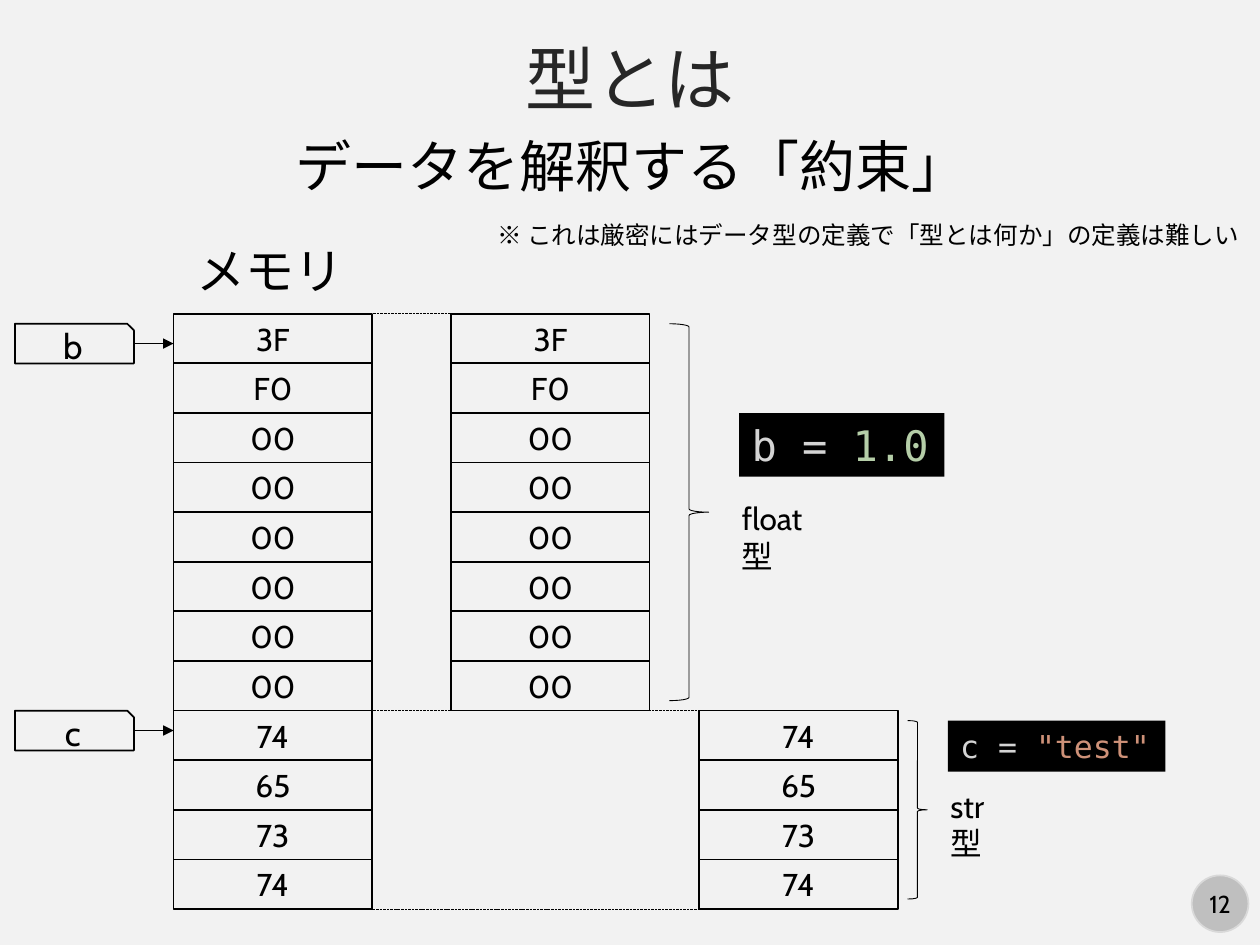
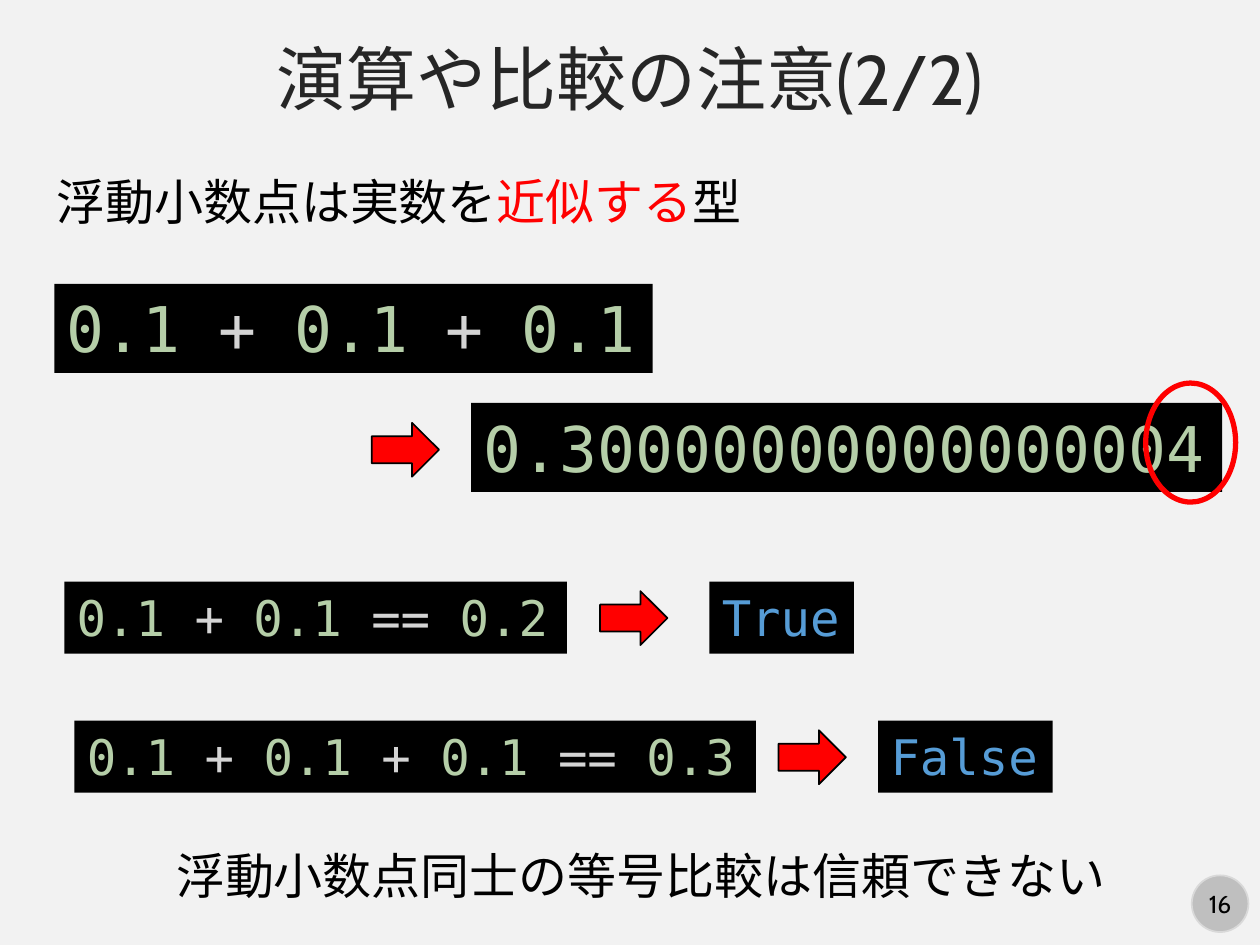
"""Build two slides about Python types and floating-point comparison."""
from dataclasses import dataclass

import pptx
import pptx.dml.color
import pptx.enum.dml
import pptx.enum.shapes
import pptx.enum.text
import pptx.oxml.ns
import pptx.oxml.xmlchemy
import pptx.util
from lxml import etree

Pt = pptx.util.Pt
SHAPE = pptx.enum.shapes.MSO_SHAPE
ALIGN = pptx.enum.text.PP_ALIGN
ANCHOR = pptx.enum.text.MSO_ANCHOR
AUTO_SIZE = pptx.enum.text.MSO_AUTO_SIZE

COLORS = {
    "background": "F2F2F2",
    "title": "262626",
    "ink": "000000",
    "badge": "BFBFBF",
    "badge_line": "D9D9D9",
    "alert": "FF0000",
    "code": "D4D4D4",
    "number": "B5CEA8",
    "string": "CE9178",
    "keyword": "569CD6",
}
TEXT_FONT = "Cabin"
CODE_FONT = "DejaVu Sans Mono"

CELL_WIDTH, CELL_HEIGHT = 113.4, 28.35
MEMORY_LEFT, MEMORY_TOP = 99.2, 179.3
FLOAT_BYTES = ["3F", "F0"] + ["00"] * 6
STR_BYTES = ["74", "65", "73", "74"]
STR_TOP = MEMORY_TOP + len(FLOAT_BYTES) * CELL_HEIGHT
MEMORY_BOTTOM = STR_TOP + len(STR_BYTES) * CELL_HEIGHT


@dataclass
class Box:
    """A rectangle in points."""
    left: float
    top: float
    width: float
    height: float

    def lengths(self) -> tuple:
        """Return the four lengths for python-pptx."""
        return Pt(self.left), Pt(self.top), Pt(self.width), Pt(self.height)


@dataclass
class Caption:
    """A free text made of (text, color) runs."""
    box: Box
    runs: list
    size: float
    wrap: bool = False


@dataclass
class Code:
    """A line of code on a black box."""
    box: Box
    source: str
    size: float


@dataclass
class ByteColumn:
    """A stack of memory cells."""
    left: float
    top: float
    values: list


@dataclass
class VariableTag:
    """A variable name that points at a memory cell."""
    name: str
    top: float


@dataclass
class DashedLine:
    """A horizontal guide between columns."""
    start: float
    end: float
    top: float


def rgb(name: str):
    """Look up a color by name."""
    return pptx.dml.color.RGBColor.from_string(COLORS[name])


def write_text(shape, runs, *, size, font=TEXT_FONT, color="ink", align=ALIGN.LEFT,
               anchor=ANCHOR.TOP, wrap=True, fit=False, inset=None) -> None:
    """Fill a shape with one paragraph, from a string or (text, color) runs."""
    frame = shape.text_frame
    frame.word_wrap = wrap
    frame.auto_size = AUTO_SIZE.SHAPE_TO_FIT_TEXT if fit else AUTO_SIZE.NONE
    frame.vertical_anchor = anchor
    if inset is not None:
        frame.margin_left = frame.margin_right = Pt(inset)
        frame.margin_top = frame.margin_bottom = Pt(inset)
    paragraph = frame.paragraphs[0]
    paragraph.alignment = align
    for text, run_color in [(runs, color)] if isinstance(runs, str) else runs:
        run = paragraph.add_run()
        run.text = text
        run.font.name = font
        run.font.size = Pt(size)
        run.font.color.rgb = rgb(run_color)


def add_shape(slide, kind, box: Box, *, fill=None, line="ink", weight=1.0):
    """Add a preset shape with plain fill and line."""
    shape = slide.shapes.add_shape(kind, *box.lengths())
    shape.shadow.inherit = False
    if fill:
        shape.fill.solid()
        shape.fill.fore_color.rgb = rgb(fill)
    else:
        shape.fill.background()
    shape.line.color.rgb = rgb(line)
    shape.line.width = Pt(weight)
    return shape


def add_line(slide, start: float, end: float, top: float, *, weight: float,
             dashed=False, arrow=False) -> None:
    """Add a horizontal connector."""
    connector = slide.shapes.add_connector(
        pptx.enum.shapes.MSO_CONNECTOR.STRAIGHT, Pt(start), Pt(top), Pt(end), Pt(top))
    connector.line.color.rgb = rgb("ink")
    connector.line.width = Pt(weight)
    if dashed:
        connector.line.dash_style = pptx.enum.dml.MSO_LINE.SQUARE_DOT
    qualified = pptx.oxml.ns.qn
    properties = connector._element.spPr
    if arrow:
        etree.SubElement(properties.find(qualified("a:ln")), qualified("a:tailEnd"), type="triangle")
    etree.SubElement(properties, qualified("a:effectLst"))


def add_caption(slide, caption: Caption) -> None:
    """Add a free text."""
    shape = slide.shapes.add_textbox(*caption.box.lengths())
    write_text(shape, caption.runs, size=caption.size, wrap=caption.wrap, fit=not caption.wrap)


def token_color(token: str) -> str:
    """Choose the highlight color of a code token."""
    if token[0].isdigit():
        return "number"
    if token[0] == '"':
        return "string"
    return "keyword" if token in ("True", "False") else "code"


def add_code(slide, code: Code) -> None:
    """Add a highlighted line of code on black."""
    shape = slide.shapes.add_textbox(*code.box.lengths())
    shape.fill.solid()
    shape.fill.fore_color.rgb = rgb("ink")
    tokens = code.source.split(" ")
    runs = [(token + " ", token_color(token)) for token in tokens[:-1]]
    runs.append((tokens[-1], token_color(tokens[-1])))
    write_text(shape, runs, size=code.size, font=CODE_FONT, wrap=False, fit=True)


def add_byte_column(slide, column: ByteColumn) -> None:
    """Add the cells of a memory column."""
    for row, value in enumerate(column.values):
        box = Box(column.left, column.top + row * CELL_HEIGHT, CELL_WIDTH, CELL_HEIGHT)
        write_text(add_shape(slide, SHAPE.RECTANGLE, box), value, size=18,
                   align=ALIGN.CENTER, anchor=ANCHOR.MIDDLE)


def add_variable_tag(slide, tag: VariableTag) -> None:
    """Add a variable tag and its arrow to memory."""
    box = Box(8.5, tag.top, 68, 22.7)
    write_text(add_shape(slide, SHAPE.SNIP_1_RECTANGLE, box), tag.name, size=20,
               align=ALIGN.CENTER, anchor=ANCHOR.MIDDLE)
    add_line(slide, box.left + box.width, MEMORY_LEFT, box.top + box.height / 2,
             weight=1, arrow=True)


def add_titled_slide(presentation, title: str, number: int):
    """Add a slide with its title and number badge."""
    slide = presentation.slides.add_slide(presentation.slide_layouts[5])
    shape = slide.shapes.title
    shape.left, shape.top, shape.width, shape.height = Box(0, 15, 720, 59).lengths()
    write_text(shape, title, size=40, color="title", align=ALIGN.CENTER, anchor=ANCHOR.MIDDLE)
    badge = add_shape(slide, SHAPE.OVAL, Box(681, 500.2, 32.4, 32.4),
                      fill="badge", line="badge_line")
    write_text(badge, str(number), size=14, align=ALIGN.CENTER, anchor=ANCHOR.MIDDLE,
               wrap=False, inset=0)
    return slide


def build_types_slide(presentation) -> None:
    """Show how memory bytes are read as float and str."""
    slide = add_titled_slide(presentation, "型とは", 12)
    float_left, str_left = 257.8, 399.6
    for column in (
        ByteColumn(MEMORY_LEFT, MEMORY_TOP, FLOAT_BYTES + STR_BYTES),
        ByteColumn(float_left, MEMORY_TOP, FLOAT_BYTES),
        ByteColumn(str_left, STR_TOP, STR_BYTES),
    ):
        add_byte_column(slide, column)
    for guide in (
        DashedLine(178.6, 308.9, MEMORY_TOP),
        DashedLine(178.6, 422.6, STR_TOP),
        DashedLine(184.3, 427.7, MEMORY_BOTTOM),
    ):
        add_line(slide, guide.start, guide.end, guide.top, weight=0.5, dashed=True)
    for brace in (Box(382.5, 185, 22.5, 215.4), Box(518.6, 411.8, 11.3, 102)):
        add_shape(slide, SHAPE.RIGHT_BRACE, brace, weight=0.5)
    for tag in (VariableTag("b", 185), VariableTag("c", STR_TOP)):
        add_variable_tag(slide, tag)
    for code in (
        Code(Box(422.4, 236, 117.2, 36.3), "b = 1.0", 24),
        Code(Box(541.6, 411.8, 124.4, 29.1), 'c = "test"', 18),
    ):
        add_code(slide, code)
    for caption in (
        Caption(Box(161.5, 71.4, 402.5, 46), [("データを解釈する「約束」", "ink")], 32),
        Caption(Box(105.4, 134, 99.4, 41.2), [("メモリ", "ink")], 28),
        Caption(Box(277, 122.4, 443, 24.2), [("※ これは厳密にはデータ型の定義で「型とは何か」の定義は難しい", "ink")], 14),
        Caption(Box(416.9, 281.5, 60, 29), [("float型", "ink")], 18, wrap=True),
        Caption(Box(536, 445.9, 48, 29), [("str型", "ink")], 18, wrap=True),
    ):
        add_caption(slide, caption)


def build_comparison_slide(presentation) -> None:
    """Warn about comparing floating-point numbers."""
    slide = add_titled_slide(presentation, "演算や比較の注意(2/2)", 16)
    for code in (
        Code(Box(31, 162.2, 342, 50.9), "0.1 + 0.1 + 0.1", 36),
        Code(Box(269.3, 230.3, 429.1, 50.9), "0.30000000000000004", 36),
        Code(Box(36.8, 332.4, 287.2, 41.2), "0.1 + 0.1 == 0.2", 28),
        Code(Box(405.4, 332.4, 82.6, 41.2), "True", 28),
        Code(Box(42.5, 411.8, 389.5, 41.2), "0.1 + 0.1 + 0.1 == 0.3", 28),
        Code(Box(501.8, 411.8, 99.8, 41.2), "False", 28),
    ):
        add_code(slide, code)
    for left, top in ((212.4, 241.6), (342.9, 337.8), (444.9, 417.3)):
        add_shape(slide, SHAPE.RIGHT_ARROW, Box(left, top, 38.5, 30.8), fill="alert")
    add_shape(slide, SHAPE.OVAL, Box(654.7, 218.9, 51.4, 68), line="alert", weight=3)
    for caption in (
        Caption(Box(25.2, 94.5, 410.4, 41.2),
                [("浮動小数点は実数を", "ink"), ("近似する", "alert"), ("型", "ink")], 28),
        Caption(Box(93.6, 479.5, 551.5, 41.2),
                [("浮動小数点同士の等号比較は信頼できない", "ink")], 28),
    ):
        add_caption(slide, caption)


def main() -> None:
    """Build and save the presentation."""
    presentation = pptx.Presentation()
    presentation.slide_width, presentation.slide_height = Pt(720), Pt(540)
    background = presentation.slide_master.background.fill
    background.solid()
    background.fore_color.rgb = rgb("background")
    build_types_slide(presentation)
    build_comparison_slide(presentation)
    presentation.save("out.pptx")


if __name__ == "__main__":
    main()
